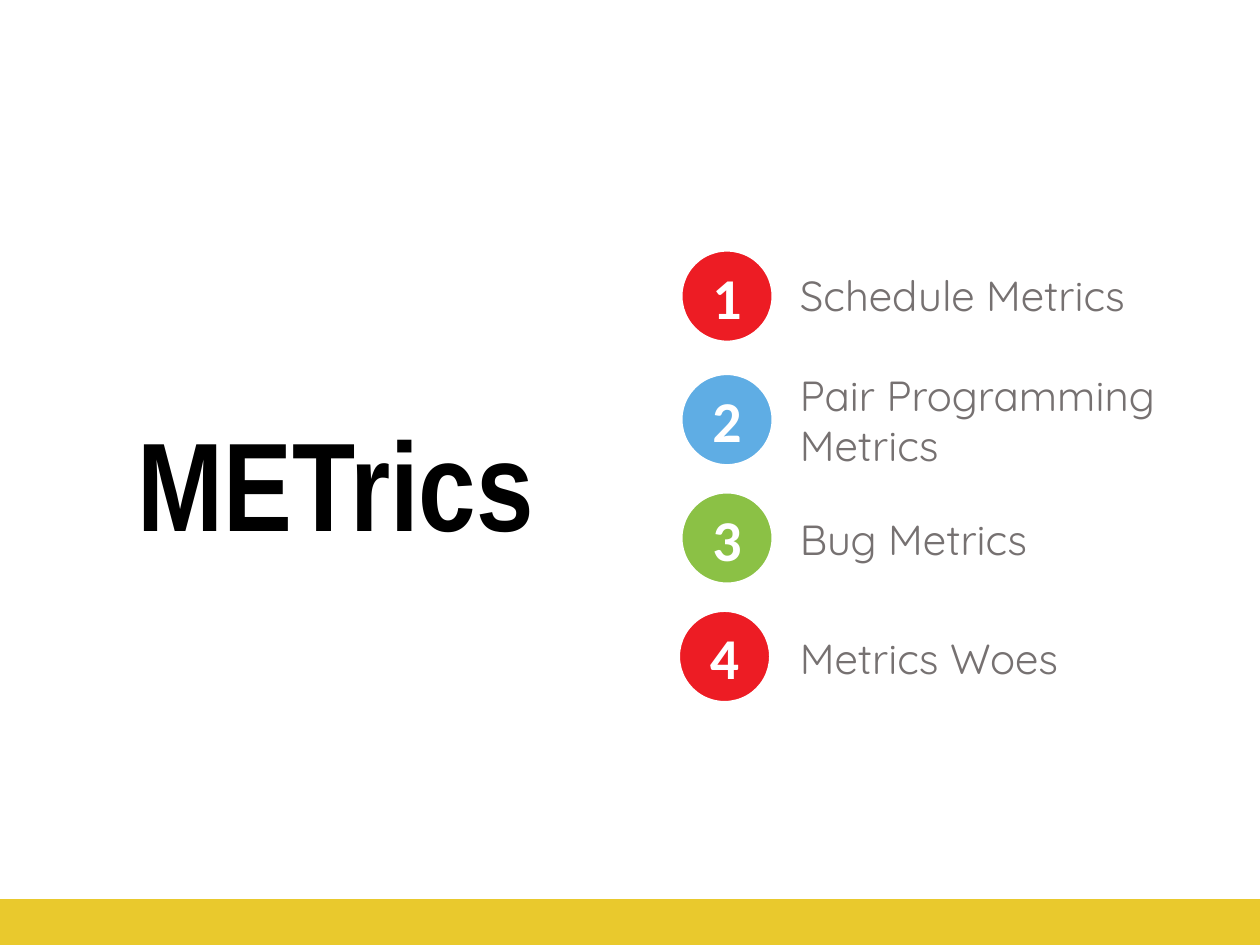
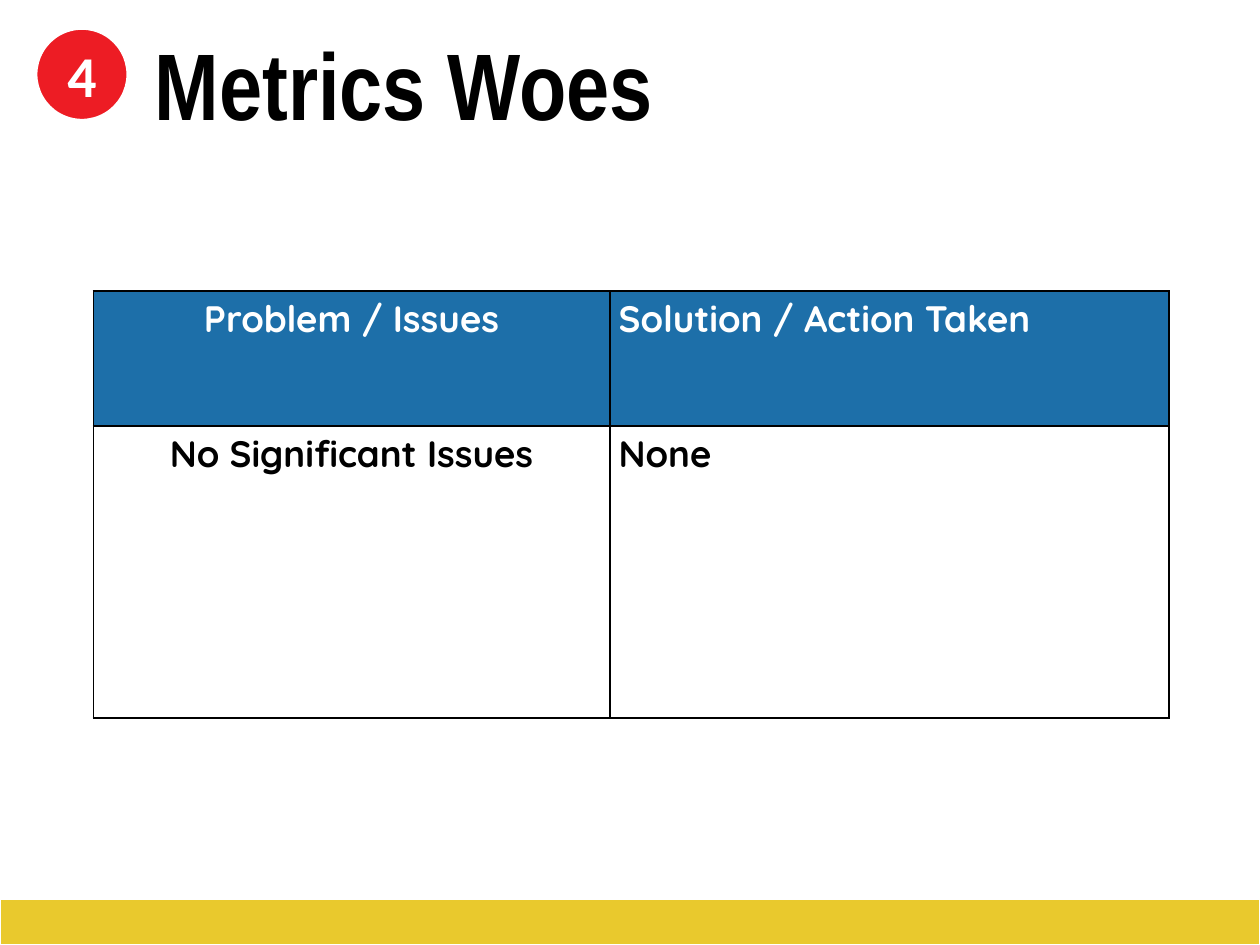
import dataclasses

import pptx
import pptx.dml.color
import pptx.enum.shapes
import pptx.enum.text
import pptx.oxml
import pptx.oxml.ns
import pptx.util

Inches = pptx.util.Inches
Align = pptx.enum.text.PP_ALIGN
Anchor = pptx.enum.text.MSO_ANCHOR
Shape = pptx.enum.shapes.MSO_SHAPE


@dataclasses.dataclass(frozen=True)
class Theme:
    red: str = "ED1C24"
    sky: str = "5FADE4"
    green: str = "8BC145"
    yellow: str = "E9C92D"
    header: str = "1D6FA9"
    grey: str = "767171"
    black: str = "000000"
    white: str = "FFFFFF"
    title_font: str = "Arial Narrow"
    badge_font: str = "Calibri"
    body_font: str = "Quicksand"
    cover_size: int = 72
    title_size: int = 54
    badge_size: int = 33
    body_size: int = 24
    table_size: int = 21


def rgb(color):
    return pptx.dml.color.RGBColor.from_string(color)


class SlideBuilder:
    """Holds the deck, its theme and the current slide."""

    def __init__(self, theme):
        self.theme = theme
        self.deck = pptx.Presentation()
        self.deck.slide_width = Inches(10)
        self.deck.slide_height = Inches(7.5)
        self.page = None

    def new_page(self):
        self.page = self.deck.slides.add_slide(self.deck.slide_layouts[6])

    def set_text(self, frame, text, font, size, color, bold=False, align=Align.LEFT):
        frame.text = text
        para = frame.paragraphs[0]
        para.alignment = align
        for span in para.runs:
            span.font.name = font
            span.font.size = pptx.util.Pt(size)
            span.font.bold = bold
            span.font.color.rgb = rgb(color)

    def shape(self, kind, left, top, width, height, fill, edge):
        shape = self.page.shapes.add_shape(
            kind, Inches(left), Inches(top), Inches(width), Inches(height))
        shape.shadow.inherit = False
        shape.fill.solid()
        shape.fill.fore_color.rgb = rgb(fill)
        shape.line.color.rgb = rgb(edge)
        shape.line.width = pptx.util.Pt(1)
        return shape

    def band(self, edge):
        self.shape(Shape.RECTANGLE, 0, 7.14, 10, 0.36, self.theme.yellow, edge)

    def badge(self, number, left, top, fill):
        theme = self.theme
        circle = self.shape(Shape.OVAL, left, top, 0.72, 0.72, fill, theme.white)
        circle.text_frame.vertical_anchor = Anchor.MIDDLE
        self.set_text(circle.text_frame, str(number), theme.badge_font,
                      theme.badge_size, theme.white, True, Align.CENTER)

    def text_box(self, text, left, top, width, height, *style, anchor=Anchor.TOP):
        box = self.page.shapes.add_textbox(
            Inches(left), Inches(top), Inches(width), Inches(height))
        frame = box.text_frame
        frame.word_wrap = True
        frame.vertical_anchor = anchor
        self.set_text(frame, text, *style)
        return frame

    def title(self, text, left, top, width, height, size,
              align=Align.LEFT, anchor=Anchor.TOP):
        return self.text_box(text, left, top, width, height, self.theme.title_font,
                             size, self.theme.black, True, align, anchor=anchor)

    def label(self, text, top, height):
        theme = self.theme
        self.text_box(text, 6.25, top, 3.47, height,
                      theme.body_font, theme.body_size, theme.grey)

    def cell_borders(self, cell):
        properties = cell._tc.get_or_add_tcPr()
        for index, side in enumerate("LRTB"):
            border = pptx.oxml.parse_xml(
                f'<a:ln{side} {pptx.oxml.ns.nsdecls("a")} w="12700"><a:solidFill>'
                f'<a:srgbClr val="{self.theme.black}"/></a:solidFill></a:ln{side}>')
            properties.insert(index, border)

    def table(self, rows, left, top, widths, heights):
        theme = self.theme
        table = self.page.shapes.add_table(
            len(rows), len(widths), Inches(left), Inches(top),
            Inches(sum(widths)), Inches(sum(heights))).table
        for column, width in zip(table.columns, widths):
            column.width = Inches(width)
        for row, height in zip(table.rows, heights):
            row.height = Inches(height)
        row_colors = [(theme.header, theme.white)] + [(theme.white, theme.black)] * (len(rows) - 1)
        for row, texts, (fill, color) in zip(table.rows, rows, row_colors):
            for cell, text, align in zip(row.cells, texts, (Align.CENTER, Align.LEFT)):
                cell.margin_left = cell.margin_right = Inches(0.07)
                cell.margin_top = cell.margin_bottom = Inches(0.04)
                cell.fill.solid()
                cell.fill.fore_color.rgb = rgb(fill)
                self.set_text(cell.text_frame, text, theme.body_font,
                              theme.table_size, color, True, align)
                self.cell_borders(cell)


def agenda_page(builder):
    theme = builder.theme
    builder.new_page()
    topics = [
        ("Schedule Metrics", theme.red, 5.41, 1.99, 2.09, 0.73),
        ("Pair Programming Metrics", theme.sky, 5.41, 2.97, 2.88, 1.14),
        ("Bug Metrics", theme.green, 5.41, 3.91, 4.03, 0.73),
        ("Metrics Woes", theme.red, 5.39, 4.85, 4.97, 0.73),
    ]
    for number, (topic, color, left, badge_top, label_top, height) in enumerate(topics, 1):
        builder.badge(number, left, badge_top, color)
        builder.label(topic, label_top, height)
    heading = builder.title("METrics", 0.07, 2.52, 5.19, 1.96, theme.cover_size,
                            Align.CENTER, Anchor.BOTTOM)
    heading.paragraphs[0].line_spacing = 0.9
    builder.band(theme.yellow)


def woes_page(builder):
    theme = builder.theme
    builder.new_page()
    builder.badge(4, 0.29, 0.23, theme.red)
    rows = [("Problem / Issues", "Solution / Action Taken"),
            ("No Significant Issues", "None")]
    builder.table(rows, 0.74, 2.31, (4.1, 4.44), (1.07, 2.32))
    builder.band(theme.white)
    builder.title("Metrics Woes", 1.13, 0.16, 6.82, 1.01, theme.title_size)


def main():
    builder = SlideBuilder(Theme())
    agenda_page(builder)
    woes_page(builder)
    builder.deck.save("out.pptx")


if __name__ == "__main__":
    main()
